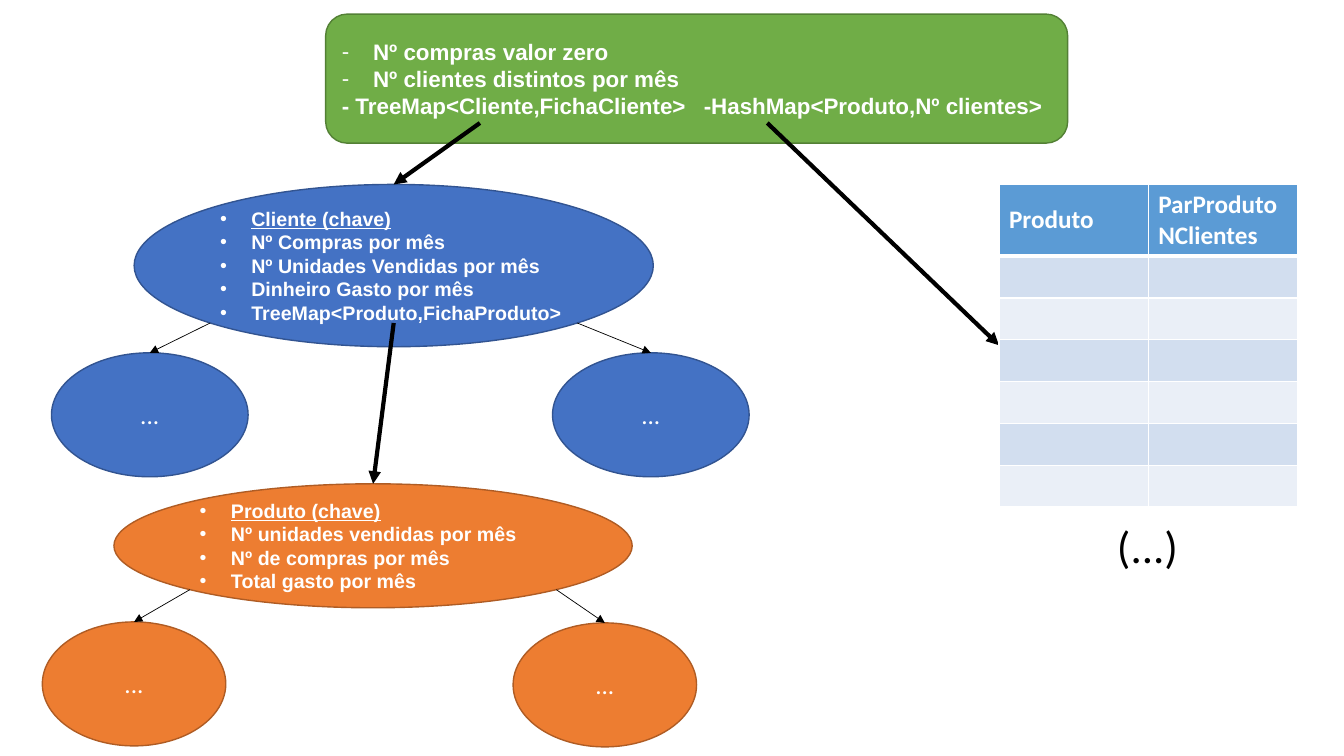
from dataclasses import dataclass
from math import sqrt

from lxml import etree
from pptx import Presentation, util as u
from pptx.dml.color import RGBColor
from pptx.enum import shapes, text
from pptx.oxml import ns


@dataclass(frozen=True)
class Theme:
    blue: tuple = ("4472C4", "325491")
    orange: tuple = ("ED7D31", "AF5C24")
    green: tuple = ("70AD47", "538035")
    header: str = "5B9BD5"
    bands: tuple = ("D2DEEF", "EAEFF7")
    white: str = "FFFFFF"
    black: str = "000000"
    heading: str = "Arial"
    body: str = "Calibri"
    fields: int = 14
    summary: int = 16
    normal: int = 18
    large: int = 32


THEME = Theme()

# Content; boxes are left, top, width, height in percent of the slide
SUMMARY = {
    "box": (24.23, 1.87, 55.21, 17.07),
    "counts": ["Nº compras valor zero", "Nº clientes distintos por mês"],
    "maps": "- TreeMap<Cliente,FichaCliente>\t-HashMap<Produto,Nº clientes>",
    "second_map": 3.59,  # tab stop in inches
}
TREES = {
    "cliente": {
        "box": (9.98, 24.4, 38.63, 21.47),
        "colors": THEME.blue,
        "fields": ["Cliente (chave)", "Nº Compras por mês",
                   "Nº Unidades Vendidas por mês", "Dinheiro Gasto por mês",
                   "TreeMap<Produto,FichaProduto>"],
        "branches": [(3.83, 46.67, 14.63, 16.4), (41.11, 46.67, 14.63, 16.4)],
    },
    "produto": {
        "box": (8.48, 64, 38.56, 16.4),
        "colors": THEME.orange,
        "fields": ["Produto (chave)", "Nº unidades vendidas por mês",
                   "Nº de compras por mês", "Total gasto por mês"],
        "branches": [(3.15, 82.27, 13.65, 16.4), (38.18, 82.4, 13.65, 16.4)],
    },
}
HASH_MAP = {
    "box": (74.33, 24.4, 22.2, 42.53),
    "headings": ["Produto", "ParProdutoNClientes"],
    "header_height": 9.33,
    "empty_rows": 6,
}
MORE = {"box": (82.37, 68, 6.75, 8.53), "text": "(...)"}
MAP_STARTS = {"cliente": (35.71, 16.27), "hash": (57.09, 16.27)}

# Slide
deck = Presentation()
deck.slide_width, deck.slide_height = u.Inches(13.33), u.Inches(7.5)
slide = deck.slides.add_slide(deck.slide_layouts[6])


def place(x, y):
    return int(deck.slide_width * x / 100), int(deck.slide_height * y / 100)


def area(box):
    return place(*box[:2]) + place(*box[2:])


def color(value):
    return RGBColor.from_string(value)


def write(frame, words, *, size=THEME.normal, font=THEME.body, ink=THEME.white,
          bold=False, underline=False, bullet=None, align=None, tab=None, first=False):
    paragraph = frame.paragraphs[0] if first else frame.add_paragraph()
    paragraph.alignment = align or text.PP_ALIGN.LEFT
    run = paragraph.add_run()
    run.text = words
    run.font.size, run.font.name = u.Pt(size), font
    run.font.bold, run.font.underline = bold, underline
    run.font.color.rgb = color(ink)
    props = paragraph._p.get_or_add_pPr()
    if bullet:
        indent = u.Inches(0.31)
        props.set("marL", str(indent))
        props.set("indent", str(-indent))
        etree.SubElement(props, ns.qn("a:buFont"), typeface=THEME.heading)
        etree.SubElement(props, ns.qn("a:buChar"), char=bullet)
    if tab:
        stops = etree.SubElement(props, ns.qn("a:tabLst"))
        etree.SubElement(stops, ns.qn("a:tab"), pos=str(u.Inches(tab)), algn="l")


def add_node(kind, box, colors):
    node = slide.shapes.add_shape(kind, *area(box))
    node.shadow.inherit = False
    node.fill.solid()
    node.fill.fore_color.rgb = color(colors[0])
    node.line.color.rgb = color(colors[1])
    node.line.width = u.Pt(1)
    node.text_frame.word_wrap = True
    node.text_frame.vertical_anchor = text.MSO_ANCHOR.MIDDLE
    return node


def add_arrow(start, end, width, target=None):
    arrow = slide.shapes.add_connector(shapes.MSO_CONNECTOR.STRAIGHT,
                                       *place(*start), *place(*end))
    arrow.line.color.rgb = color(THEME.black)
    arrow.line.width = u.Pt(width)
    etree.SubElement(arrow.line._get_or_add_ln(), ns.qn("a:tailEnd"), type="triangle")
    etree.SubElement(arrow._element.spPr, ns.qn("a:effectLst"))
    if target is not None:
        arrow.end_connect(target, 0)


def top_middle(box):
    left, top, width, _ = box
    return left + width / 2, top


def diagonal(box, side):
    """Point at 45 degrees on the lower half of an ellipse; side is -1 or 1."""
    left, top, width, height = box
    reach = sqrt(0.5) / 2
    return left + width * (0.5 + side * reach), top + height * (0.5 + reach)


# Trees: one root with two branches each
roots = {}
for name, tree in TREES.items():
    root = add_node(shapes.MSO_SHAPE.OVAL, tree["box"], tree["colors"])
    roots[name] = root
    for i, field in enumerate(tree["fields"]):
        write(root.text_frame, field, size=THEME.fields, font=THEME.heading,
              bold=True, underline=i == 0, bullet="•", first=i == 0)
    for side, box in zip((-1, 1), tree["branches"]):
        branch = add_node(shapes.MSO_SHAPE.OVAL, box, tree["colors"])
        write(branch.text_frame, "...", align=text.PP_ALIGN.CENTER, first=True)
        add_arrow(diagonal(tree["box"], side), top_middle(box), 0.5, branch)

# Summary box
summary = add_node(shapes.MSO_SHAPE.ROUNDED_RECTANGLE, SUMMARY["box"], THEME.green)
summary_style = {"size": THEME.summary, "font": THEME.heading, "bold": True}
for i, count in enumerate(SUMMARY["counts"]):
    write(summary.text_frame, count, bullet="-", first=i == 0, **summary_style)
write(summary.text_frame, SUMMARY["maps"], tab=SUMMARY["second_map"], **summary_style)

# Arrows from each map to what it holds
cliente, produto = TREES["cliente"]["box"], TREES["produto"]["box"]
product_map = (top_middle(cliente)[0], diagonal(cliente, 1)[1])
table_left, table_top, _, table_height = HASH_MAP["box"]
add_arrow(product_map, top_middle(produto), 3, roots["produto"])
add_arrow(MAP_STARTS["cliente"], top_middle(cliente), 3, roots["cliente"])
add_arrow(MAP_STARTS["hash"], (table_left, table_top + table_height / 2), 3)


# Hash map table
def add_borders(cell, **widths):
    props = cell._tc.get_or_add_tcPr()
    for side in "LRTB":
        line = etree.SubElement(props, ns.qn("a:ln" + side),
                                w=str(u.Pt(widths.get(side, 1))))
        fill = etree.SubElement(line, ns.qn("a:solidFill"))
        etree.SubElement(fill, ns.qn("a:srgbClr"), val=THEME.white)


row_count = HASH_MAP["empty_rows"] + 1
table = slide.shapes.add_table(row_count, len(HASH_MAP["headings"]),
                               *area(HASH_MAP["box"])).table
row_height = (table_height - HASH_MAP["header_height"]) / HASH_MAP["empty_rows"]
for r, row in enumerate(table.rows):
    row.height = place(0, row_height if r else HASH_MAP["header_height"])[1]
    for c, cell in enumerate(row.cells):
        add_borders(cell, T=3 if r == 1 else 1, B=1 if r else 3)
        cell.fill.solid()
        cell.fill.fore_color.rgb = color(THEME.bands[(r - 1) % 2] if r else THEME.header)
        if r == 0:
            cell.vertical_anchor = text.MSO_ANCHOR.MIDDLE
            write(cell.text_frame, HASH_MAP["headings"][c], bold=True, first=True)

# More rows follow
more = slide.shapes.add_textbox(*area(MORE["box"]))
more.text_frame.word_wrap = True
write(more.text_frame, MORE["text"], size=THEME.large, ink=THEME.black, first=True)

deck.save("out.pptx")
